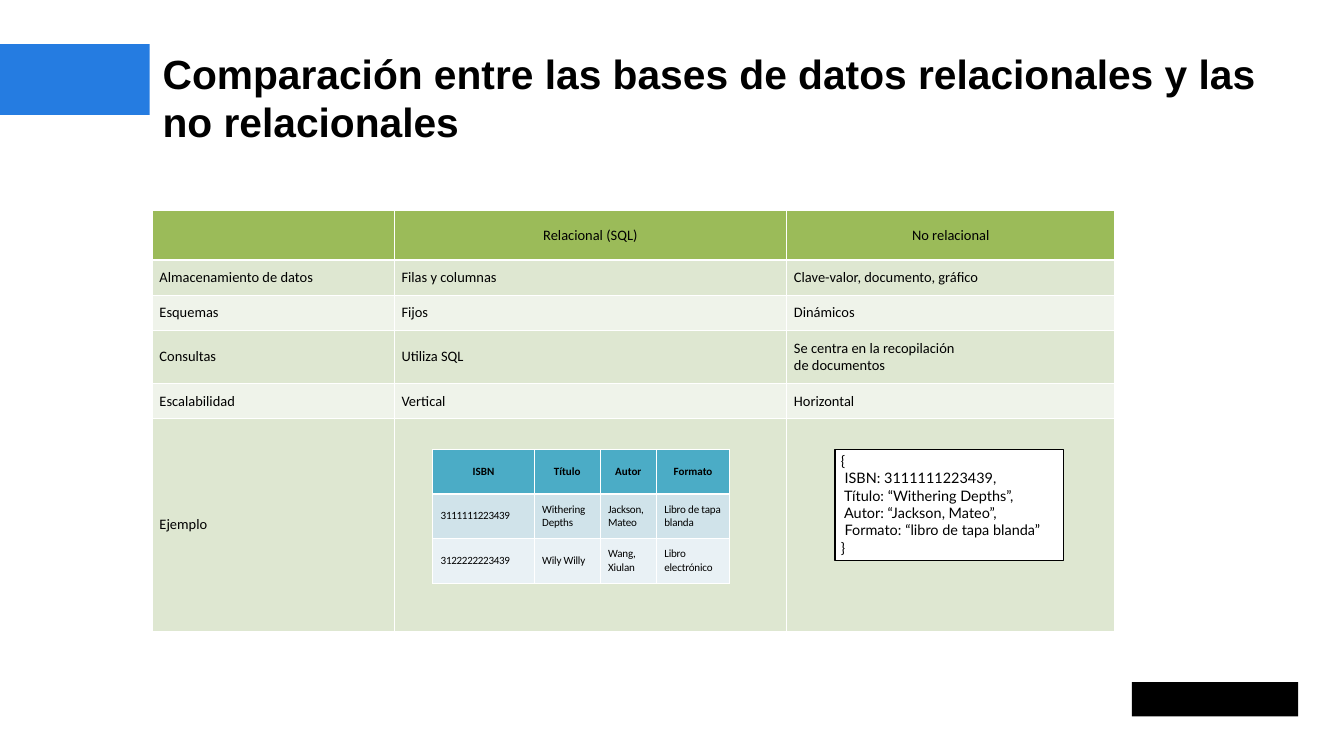
from dataclasses import dataclass

from lxml import etree
from pptx import Presentation
from pptx.dml.color import RGBColor
from pptx.enum.shapes import MSO_SHAPE
from pptx.enum.text import MSO_ANCHOR, PP_ALIGN
from pptx.oxml.ns import qn
from pptx.util import Emu, Inches, Pt

RECT = MSO_SHAPE.RECTANGLE
TOP, MIDDLE = MSO_ANCHOR.TOP, MSO_ANCHOR.MIDDLE
LEFT, CENTER = PP_ALIGN.LEFT, PP_ALIGN.CENTER
WIDTH, HEIGHT = Inches(21.99), Inches(12.37)

COLORS = {
    "black": "000000", "white": "FFFFFF", "blue": "257CE1",
    "green": "9BBB59", "green_dark": "DEE7D1", "green_light": "EFF3EA",
    "teal": "4BACC6", "teal_dark": "D0E3EA", "teal_light": "E9F1F5",
}


@dataclass(frozen=True)
class Box:
    """Place and size in percent of the slide's width and height."""
    left: float
    top: float
    width: float
    height: float


@dataclass(frozen=True)
class TextStyle:
    font: str
    size: int
    bold: bool = False
    align: PP_ALIGN = LEFT
    spacing: int = 0  # hundredths of a point


@dataclass(frozen=True)
class TableSpec:
    """Column widths and row heights in percent of the slide."""
    left: float
    top: float
    cols: list[float]
    rows: list[float]
    cells: list[list[str]]
    header_fill: str
    band_fills: tuple[str, str]
    margin: float
    header: TextStyle
    body: list[TextStyle]  # one per column


TITLE = "Comparación entre las bases de datos relacionales y las no relacionales"
TITLE_STYLE = TextStyle("Arial", 48, bold=True)
DOCUMENT = [
    "{",
    " ISBN: 3111111223439,",
    " Título: “Withering Depths”,",
    " Autor: “Jackson, Mateo”,",
    " Formato: “libro de tapa blanda”",
    "}",
]
DOCUMENT_STYLE = TextStyle("Lato", 17)

COMPARISON = TableSpec(
    left=11.32, top=27.89,
    cols=[18.01, 29.2, 24.42],
    rows=[6.55, 4.61, 4.61, 7.11, 4.61, 28.13],
    cells=[
        ["", "Relacional (SQL)", "No relacional"],
        ["Almacenamiento de datos", "Filas y columnas", "Clave-valor, documento, gráfico"],
        ["Esquemas", "Fijos", "Dinámicos"],
        ["Consultas", "Utiliza SQL", "Se centra en la recopilación \nde documentos"],
        ["Escalabilidad", "Vertical", "Horizontal"],
        ["Ejemplo", "", ""],
    ],
    header_fill="green", band_fills=("green_dark", "green_light"), margin=0.12,
    header=TextStyle("Calibri", 17, align=CENTER),
    body=[TextStyle("Calibri", 17)] * 3,
)
BOOKS = TableSpec(
    left=32.2, top=59.42,
    cols=[7.55, 4.91, 4.18, 5.46],
    rows=[5.9] * 3,
    cells=[
        ["ISBN", "Título", "Autor", "Formato"],
        ["3111111223439", "Withering Depths", "Jackson, Mateo", "Libro de tapa blanda"],
        ["3122222223439", "Wily Willy", "Wang, Xiulan", "Libro electrónico"],
    ],
    header_fill="teal", band_fills=("teal_dark", "teal_light"), margin=0.13,
    header=TextStyle("Calibri", 13, bold=True, align=CENTER),
    body=[TextStyle("Calibri", 13, spacing=-30)] + [TextStyle("Calibri", 13, spacing=-20)] * 3,
)


def x(percent: float) -> Emu:
    return Emu(round(WIDTH * percent / 100))


def y(percent: float) -> Emu:
    return Emu(round(HEIGHT * percent / 100))


def place(box: Box) -> tuple[Emu, Emu, Emu, Emu]:
    return x(box.left), y(box.top), x(box.width), y(box.height)


def color(name: str) -> RGBColor:
    return RGBColor.from_string(COLORS[name])


def write(tf, lines: list[str], style: TextStyle) -> None:
    """Fill a text frame, one paragraph a line; a newline is a line break."""
    for i, line in enumerate(lines):
        p = tf.paragraphs[0] if i == 0 else tf.add_paragraph()
        p.alignment = style.align
        for j, part in enumerate(line.split("\n")):
            if j:
                p.add_line_break()
            r = p.add_run()
            r.text = part
            r.font.name, r.font.size = style.font, Pt(style.size)
            r.font.bold, r.font.color.rgb = style.bold, color("black")
            if style.spacing:
                r.font._element.set("spc", str(style.spacing))


def add_block(slide, box: Box, fill: str, line: str | None = None):
    sp = slide.shapes.add_shape(RECT, *place(box))
    sp.shadow.inherit = False
    sp.fill.solid()
    sp.fill.fore_color.rgb = color(fill)
    if line:
        sp.line.color.rgb, sp.line.width = color(line), Pt(1.5)
    else:
        sp.line.fill.background()
    return sp


def set_borders(cell, top: int, bottom: int) -> None:
    """White borders, 1 pt at the sides; call before the cell's fill is set."""
    tc_pr = cell._tc.get_or_add_tcPr()
    for side, points in (("L", 1), ("R", 1), ("T", top), ("B", bottom)):
        ln = etree.SubElement(tc_pr, qn(f"a:ln{side}"), w=str(Pt(points)))
        fill = etree.SubElement(ln, qn("a:solidFill"))
        etree.SubElement(fill, qn("a:srgbClr"), val=COLORS["white"])


def add_table(slide, spec: TableSpec) -> None:
    box = Box(spec.left, spec.top, sum(spec.cols), sum(spec.rows))
    table = slide.shapes.add_table(len(spec.rows), len(spec.cols), *place(box)).table
    for column, width in zip(table.columns, spec.cols):
        column.width = x(width)
    for row, height in zip(table.rows, spec.rows):
        row.height = y(height)
    for i, texts in enumerate(spec.cells):
        fill = spec.band_fills[(i - 1) % 2] if i else spec.header_fill
        for j, text in enumerate(texts):
            cell = table.cell(i, j)
            set_borders(cell, top=3 if i == 1 else 1, bottom=3 if i == 0 else 1)
            cell.fill.solid()
            cell.fill.fore_color.rgb = color(fill)
            cell.vertical_anchor = MIDDLE
            cell.margin_left = cell.margin_right = Inches(spec.margin)
            cell.margin_top = cell.margin_bottom = Inches(0.07)
            if text:
                write(cell.text_frame, [text], spec.body[j] if i else spec.header)


def add_title(slide) -> None:
    tf = slide.shapes.add_textbox(*place(Box(12.1, 6.31, 84.49, 13.1))).text_frame
    tf.word_wrap, tf.vertical_anchor = True, MIDDLE
    tf.margin_left = tf.margin_top = tf.margin_right = tf.margin_bottom = 0
    write(tf, [TITLE], TITLE_STYLE)


def add_document(slide) -> None:
    tf = add_block(slide, Box(62.12, 59.42, 17.01, 14.71), "white", "black").text_frame
    tf.word_wrap, tf.vertical_anchor = True, TOP
    write(tf, DOCUMENT, DOCUMENT_STYLE)


def main() -> None:
    prs = Presentation()
    prs.slide_width, prs.slide_height = WIDTH, HEIGHT
    slide = prs.slides.add_slide(prs.slide_layouts[6])
    add_block(slide, Box(0, 5.82, 11.14, 9.38), "blue")
    add_block(slide, Box(84.22, 90.22, 12.37, 4.53), "black")
    add_title(slide)
    add_table(slide, COMPARISON)
    add_document(slide)
    add_table(slide, BOOKS)
    prs.save("out.pptx")


if __name__ == "__main__":
    main()
